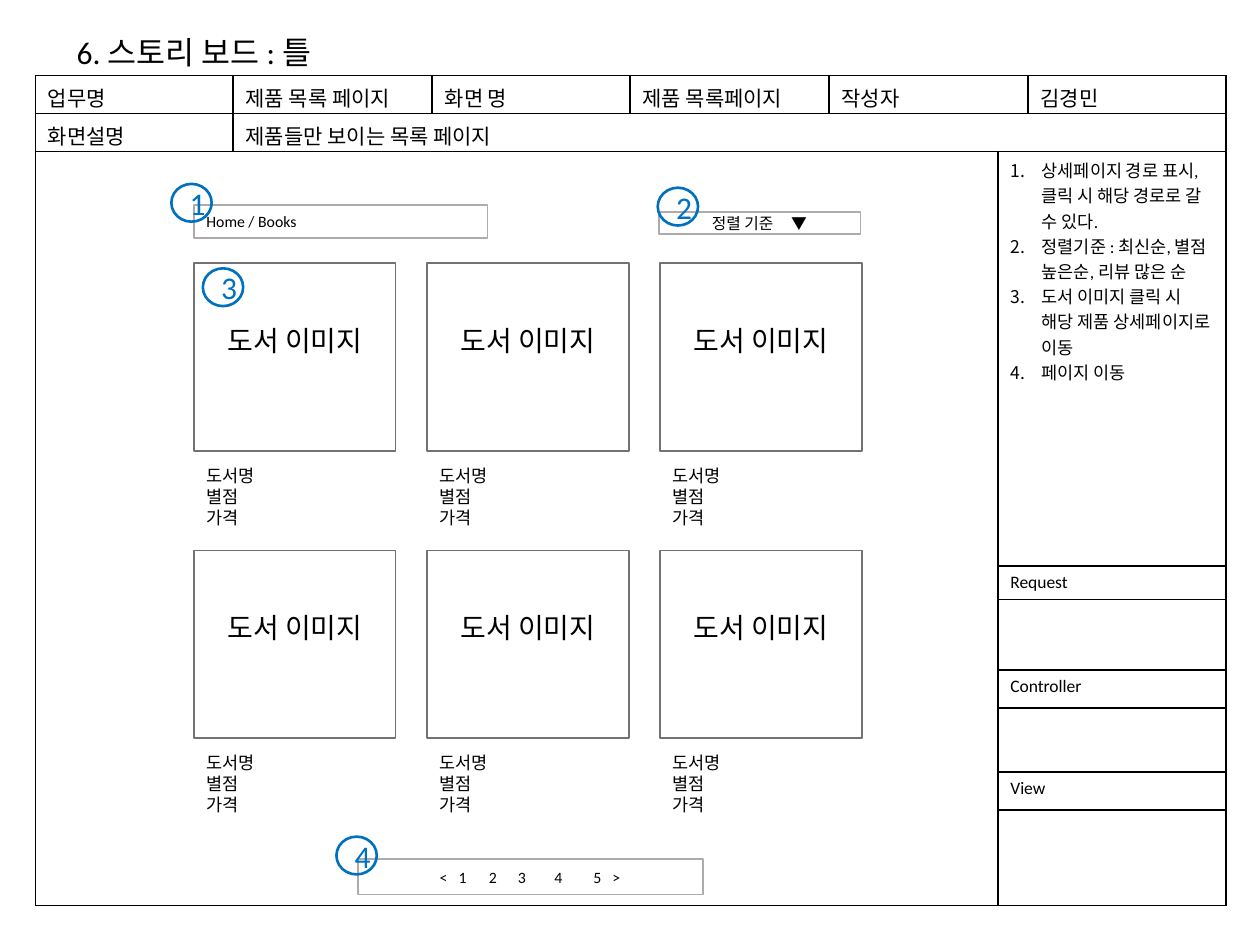
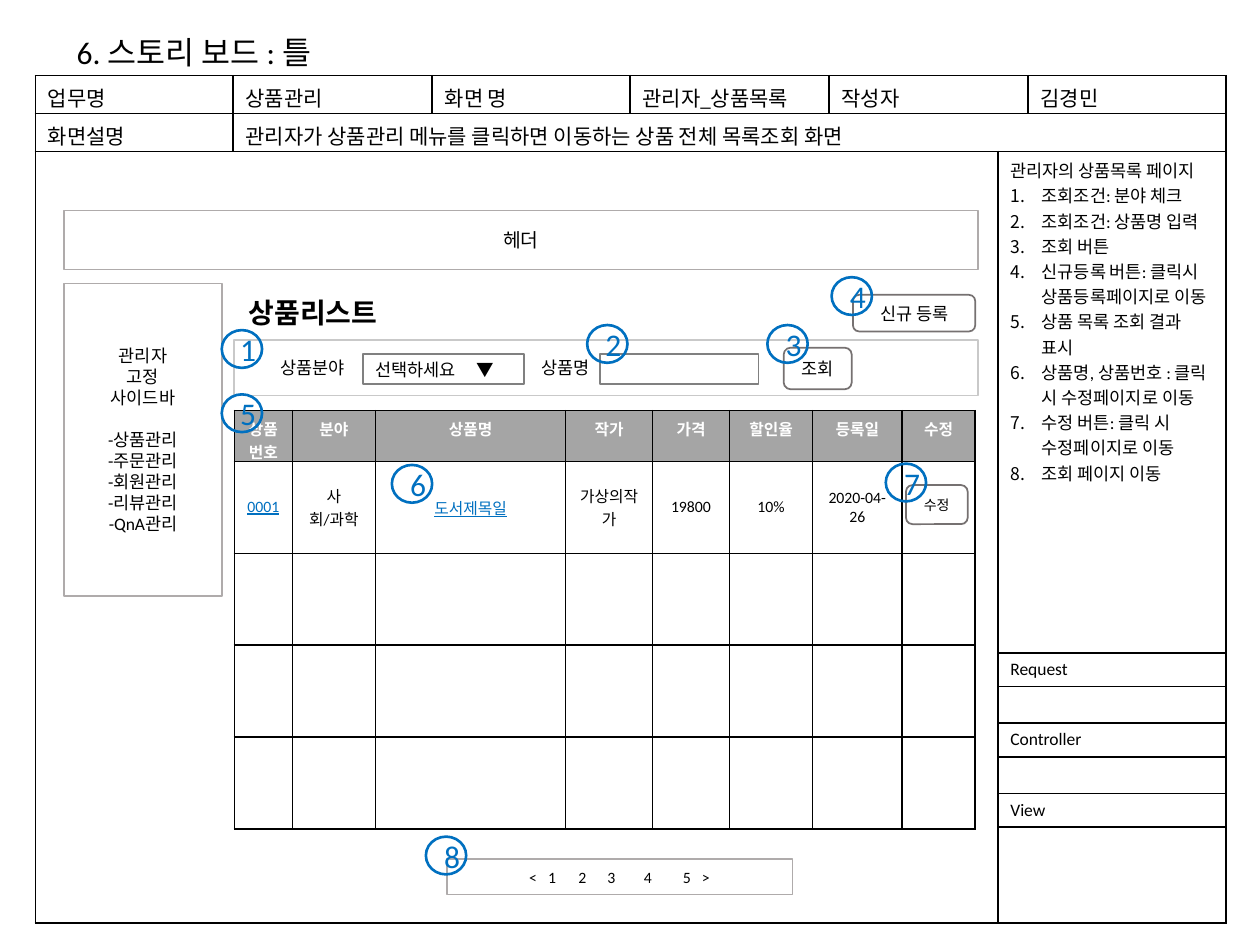
from dataclasses import dataclass
from typing import NamedTuple

from lxml.etree import SubElement
from pptx import Presentation
from pptx.dml.color import RGBColor
from pptx.enum.shapes import MSO_SHAPE
from pptx.enum.text import MSO_ANCHOR, MSO_AUTO_SIZE, PP_ALIGN
from pptx.oxml import parse_xml
from pptx.oxml.ns import nsdecls, qn
from pptx.util import Inches, Pt

BLACK = RGBColor(0x00, 0x00, 0x00)
WHITE = RGBColor(0xFF, 0xFF, 0xFF)
BLUE = RGBColor(0x00, 0x70, 0xC0)
DARK = RGBColor(0x76, 0x71, 0x71)
GREY = RGBColor(0x80, 0x80, 0x80)
SOFT = RGBColor(0xAF, 0xAB, 0xAB)
PALE = RGBColor(0xC9, 0xC9, 0xC9)
HEAD = RGBColor(0xA5, 0xA5, 0xA5)
FONT = "Calibri"
RECT, ROUND, OVAL = MSO_SHAPE.RECTANGLE, MSO_SHAPE.ROUNDED_RECTANGLE, MSO_SHAPE.OVAL
LEFT, MID = PP_ALIGN.LEFT, PP_ALIGN.CENTER


class Style(NamedTuple):
    """Look of a piece of text."""
    size: float = 10
    color: RGBColor = BLACK
    bold: bool = False
    line: bool = False
    align: PP_ALIGN = LEFT
    font: str = FONT


@dataclass
class Box:
    """A wireframe shape with its text, insets and tab stops."""
    left: float
    top: float
    width: float
    height: float
    text: str = ""
    size: float = 10
    line: RGBColor | None = SOFT
    fill: RGBColor | None = None
    kind: MSO_SHAPE = RECT
    align: PP_ALIGN = MID
    weight: float = 1
    ink: RGBColor = BLACK
    bold: bool = False
    inset: float = 0.1
    foot: float = 0.05
    tabs: tuple[float, ...] = ()


class Mark(NamedTuple):
    """A numbered circle."""
    num: int
    left: float
    top: float


@dataclass
class Sheet:
    """Wording and row heights of one storyboard frame."""
    task: str
    view: str
    about: str
    notes: list[str]
    rows: list[float]
    intro: str = ""
    font: str = FONT


def style(frame, look: Style) -> None:
    """Format every paragraph and run of a text frame."""
    for para in frame.paragraphs:
        para.alignment = look.align
        for run in para.runs:
            font = run.font
            font.size, font.name = Pt(look.size), look.font
            font.bold, font.underline = look.bold, look.line
            font.color.rgb = look.color
        if not para.runs:
            SubElement(para._p, qn("a:endParaRPr"), sz=str(int(look.size * 100)))


def stops(para, tabs: tuple[float, ...]) -> None:
    """Give a paragraph left tab stops."""
    group = SubElement(para._p.get_or_add_pPr(), qn("a:tabLst"))
    for pos in tabs:
        SubElement(group, qn("a:tab"), pos=str(Inches(pos)), algn="l")


def hang(para, depth: float, number: bool = False) -> None:
    """Set a hanging indent, with a number if asked."""
    props = para._p.get_or_add_pPr()
    props.set("marL", str(Inches(depth)))
    props.set("indent", str(-Inches(depth)))
    if number:
        SubElement(props, qn("a:buFont"), typeface="+mj-lt")
        SubElement(props, qn("a:buAutoNum"), type="arabicPeriod")


def draw(slide, box: Box):
    """Draw one box and return its text frame."""
    shape = slide.shapes.add_shape(box.kind, Inches(box.left), Inches(box.top),
                                   Inches(box.width), Inches(box.height))
    shape.shadow.inherit = False
    if box.fill is None:
        shape.fill.background()
    else:
        shape.fill.solid()
        shape.fill.fore_color.rgb = box.fill
    if box.line is None:
        shape.line.fill.background()
    else:
        shape.line.color.rgb = box.line
        shape.line.width = Pt(box.weight)
    frame = shape.text_frame
    frame.word_wrap = True
    frame.vertical_anchor = MSO_ANCHOR.MIDDLE
    frame.margin_left, frame.margin_bottom = Inches(box.inset), Inches(box.foot)
    if box.text:
        frame.text = box.text
        style(frame, Style(box.size, box.ink, box.bold, align=box.align))
    if box.tabs:
        stops(frame.paragraphs[0], box.tabs)
    return frame


def label(slide, left: float, top: float, width: float, height: float,
          text: str, look: Style):
    """Add a plain text box and return its text frame."""
    frame = slide.shapes.add_textbox(Inches(left), Inches(top), Inches(width),
                                     Inches(height)).text_frame
    frame.word_wrap = True
    frame.text = text
    style(frame, look)
    return frame


def mark(slide, item: Mark) -> None:
    """Draw one numbered circle."""
    draw(slide, Box(item.left, item.top, 0.32, 0.3, str(item.num), 18, BLUE,
                    kind=OVAL, weight=1.5, ink=BLUE))


def pager(slide, left: float, num: int) -> None:
    """Draw the page switch with its circle."""
    draw(slide, Box(left, 6.82, 2.74, 0.28, "<\t1\t2\t3\t4\t5\t>", 9, align=LEFT,
                    inset=0.65, tabs=(0.15, 0.39, 0.62, 0.91, 1.22, 1.37)))
    mark(slide, Mark(num, left - 0.17, 6.64))


def grid(slide, left: float, top: float, cols: list[float], rows: list[float]):
    """Add a table without style bands, ruled in black."""
    table = slide.shapes.add_table(len(rows), len(cols), Inches(left), Inches(top),
                                   Inches(sum(cols)), Inches(sum(rows))).table
    table.first_row = table.horz_banding = False
    for col, width in zip(table.columns, cols):
        col.width = Inches(width)
    for row, height in zip(table.rows, rows):
        row.height = Inches(height)
    for cell in table.iter_cells():
        cell.fill.background()
        props = cell._tc.get_or_add_tcPr()
        for spot, side in enumerate("LRTB"):
            props.insert(spot, parse_xml(
                f'<a:ln{side} {nsdecls("a")} w="12700"><a:solidFill>'
                f'<a:srgbClr val="{BLACK}"/></a:solidFill></a:ln{side}>'))
    return table


def write(cell, text: str, look: Style) -> None:
    """Put formatted text in a cell."""
    cell.text_frame.text = text
    style(cell.text_frame, look)


def board(deck, sheet: Sheet):
    """Add a slide with the storyboard title and frame."""
    slide = deck.slides.add_slide(deck.slide_layouts[6])
    title = label(slide, 0.51, 0.21, 2.32, 0.71, "6. 스토리 보드 : 틀", Style(18))
    title.word_wrap = False
    title.auto_size = MSO_AUTO_SIZE.SHAPE_TO_FIT_TEXT
    hang(title.paragraphs[0], 0.38)

    table = grid(slide, 0.28, 0.6, [1.57, 1.58] * 2 + [1.34, 0.24, 1.57], sheet.rows)
    for cell in table.iter_cells():
        style(cell.text_frame, Style(8))
    table.cell(0, 4).merge(table.cell(0, 5))
    table.cell(1, 1).merge(table.cell(1, 6))
    table.cell(2, 0).merge(table.cell(8, 4))
    for row in range(2, 9):
        table.cell(row, 5).merge(table.cell(row, 6))
    heads = {0: "업무명", 1: sheet.task, 2: "화면 명", 3: sheet.view, 4: "작성자", 6: "김경민"}
    for col, text in heads.items():
        write(table.cell(0, col), text, Style(12))
    write(table.cell(1, 0), "화면설명", Style(12))
    write(table.cell(1, 1), sheet.about, Style(12, font=sheet.font))
    for row, text in zip((3, 5, 7), ("Request", "Controller", "View")):
        write(table.cell(row, 5), text, Style())
    lines = [sheet.intro] * bool(sheet.intro) + sheet.notes
    notes = table.cell(2, 5)
    write(notes, "\n".join(lines), Style())
    for para in notes.text_frame.paragraphs[-len(sheet.notes):]:
        hang(para, 0.25, True)
    return slide


def shop(deck) -> None:
    """Build the product list page."""
    slide = board(deck, Sheet(
        "제품 목록 페이지", "제품 목록페이지", "제품들만 보이는 목록 페이지",
        ["상세페이지 경로 표시, 클릭 시 해당 경로로 갈 수 있다.",
         "정렬기준 : 최신순, 별점 높은순, 리뷰 많은 순",
         "도서 이미지 클릭 시 해당 제품 상세페이지로 이동",
         "페이지 이동"],
        [0.3, 0.3, 3.29, 0.26, 0.56, 0.3, 0.51, 0.3, 0.76]))
    for row in range(2):
        for col in range(3):
            left, top = 1.54 + 1.85 * col, 2.09 + 2.28 * row
            draw(slide, Box(left, top, 1.6, 1.49, "도서 이미지", 16, DARK, foot=0.32))
            label(slide, left, top + 1.55, 1.6, 0.56, "도서명\n별점\n가격", Style())
    draw(slide, Box(1.54, 1.63, 2.33, 0.26, "Home / Books", 9, align=LEFT))
    draw(slide, Box(5.23, 1.68, 1.6, 0.18, "정렬 기준\t▼", 9, align=LEFT,
                    inset=0.42, tabs=(0.63,)))
    pager(slide, 2.84, 4)
    for item in (Mark(1, 1.36, 1.46), Mark(2, 5.22, 1.49), Mark(3, 1.61, 2.13)):
        mark(slide, item)


def goods(slide) -> None:
    """Draw the table of products."""
    table = grid(slide, 1.86, 3.26, [0.46, 0.66, 1.51, 0.69, 0.61, 0.66, 0.71, 0.58],
                 [0.29] + [0.73] * 4)
    heads = ["상품 번호", "분야", "상품명", "작가", "가격", "할인율", "등록일", "수정"]
    first = ["0001", "사회/과학", "도서제목일", "가상의작가", "19800", "10%", "2020-04-26", ""]
    for col, (head, text) in enumerate(zip(heads, first)):
        top, cell = table.cell(0, col), table.cell(1, col)
        top.fill.solid()
        top.fill.fore_color.rgb = HEAD
        write(top, head, Style(9, WHITE, True, align=MID))
        link = col in (0, 2)
        write(cell, text, Style(9, BLUE if link else BLACK, line=link, align=MID))
        cell.vertical_anchor = MSO_ANCHOR.MIDDLE
        for row in range(2, 5):
            style(table.cell(row, col).text_frame, Style(9))


def admin(deck) -> None:
    """Build the manager's product list page."""
    slide = board(deck, Sheet(
        "상품관리", "관리자_상품목록",
        "관리자가 상품관리 메뉴를 클릭하면 이동하는 상품 전체 목록조회 화면",
        ["조회조건: 분야 체크", "조회조건: 상품명 입력", "조회 버튼",
         "신규등록 버튼: 클릭시 상품등록페이지로 이동", "상품 목록 조회 결과 표시",
         "상품명, 상품번호 : 클릭 시 수정페이지로 이동",
         "수정 버튼: 클릭 시 수정페이지로 이동", "조회 페이지 이동"],
        [0.3, 0.3, 3.98, 0.26, 0.29, 0.27, 0.29, 0.26, 0.76],
        "관리자의 상품목록 페이지", "Arial"))
    pager(slide, 3.55, 8)
    draw(slide, Box(0.51, 1.67, 7.25, 0.47, "헤더", 11))
    side = draw(slide, Box(0.51, 2.25, 1.25, 2.48,
                           "관리자\n고정\n사이드바\n-상품관리\n-주문관리\n-회원관리\n-리뷰관리\n-QnA관리"))
    side.paragraphs[3].space_before = Pt(12)
    goods(slide)
    for box in (
        Box(1.54, 2.26, 1.89, 0.44, "상품리스트", 16, None, bold=True),
        Box(6.22, 2.76, 0.54, 0.33, "조회", line=DARK, kind=ROUND),
        Box(6.77, 2.34, 0.97, 0.29, "신규 등록", line=DARK, kind=ROUND),
        Box(7.19, 3.85, 0.49, 0.31, "수정", 8, DARK, kind=ROUND),
        Box(4.2, 2.8, 0.62, 0.24, "상품명", line=None, fill=WHITE, align=LEFT),
        Box(4.76, 2.81, 1.26, 0.24, line=GREY, fill=WHITE),
        Box(2.13, 2.75, 0.82, 0.34, "상품분야", line=None, fill=WHITE, align=LEFT),
        Box(2.88, 2.81, 1.28, 0.24, "선택하세요\t▼", line=GREY, fill=WHITE,
            align=LEFT, tabs=(0.8,)),
        Box(1.86, 2.7, 5.9, 0.44, line=PALE),
    ):
        draw(slide, box)
    for item in (Mark(1, 1.76, 2.62), Mark(2, 4.66, 2.58), Mark(3, 6.09, 2.58),
                 Mark(4, 6.6, 2.2), Mark(5, 1.76, 3.13), Mark(6, 3.11, 3.69),
                 Mark(7, 7.03, 3.68)):
        mark(slide, item)


def main() -> None:
    """Build and save the deck."""
    deck = Presentation()
    deck.slide_width, deck.slide_height = Inches(10), Inches(7.5)
    shop(deck)
    admin(deck)
    deck.save("out.pptx")


if __name__ == "__main__":
    main()
